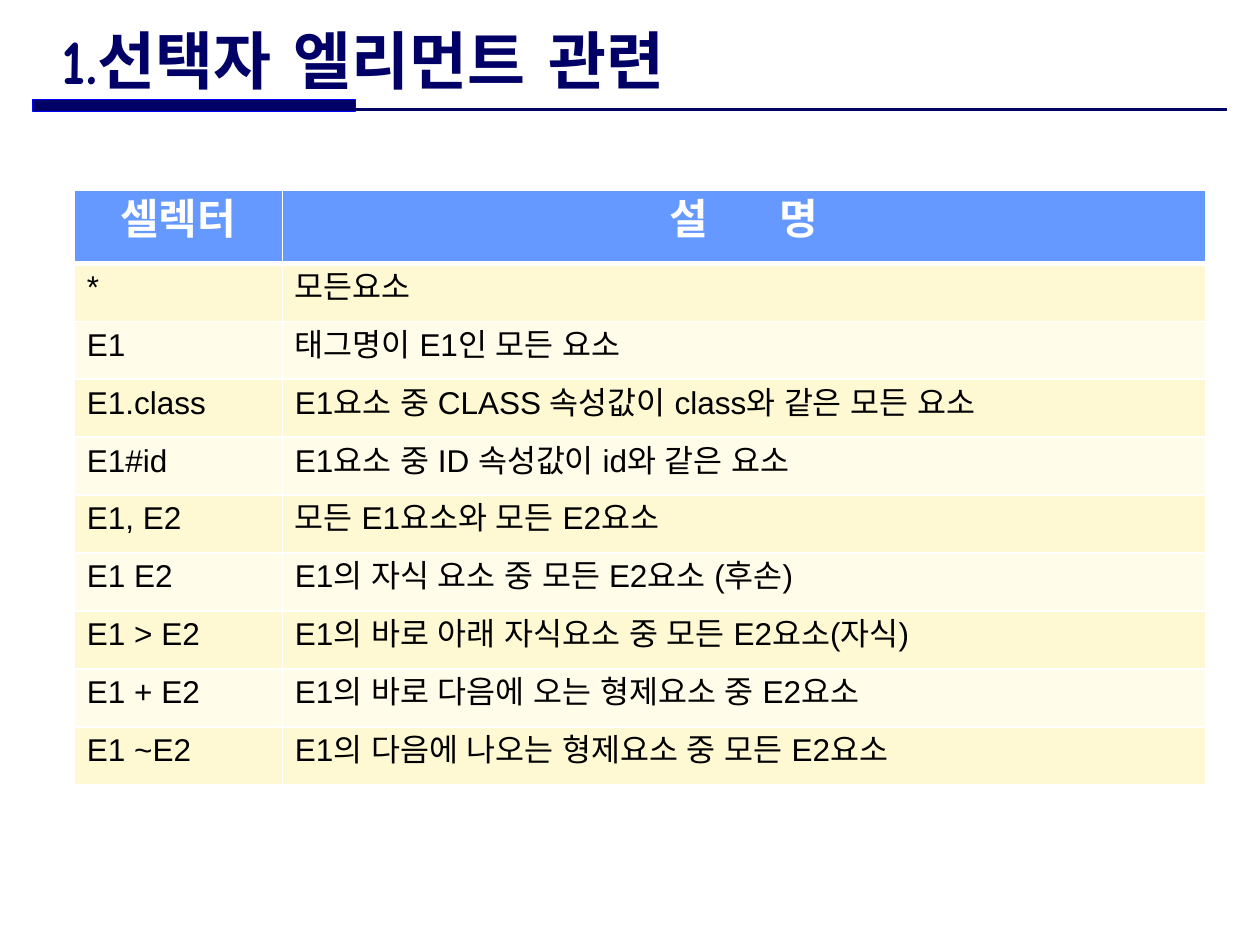
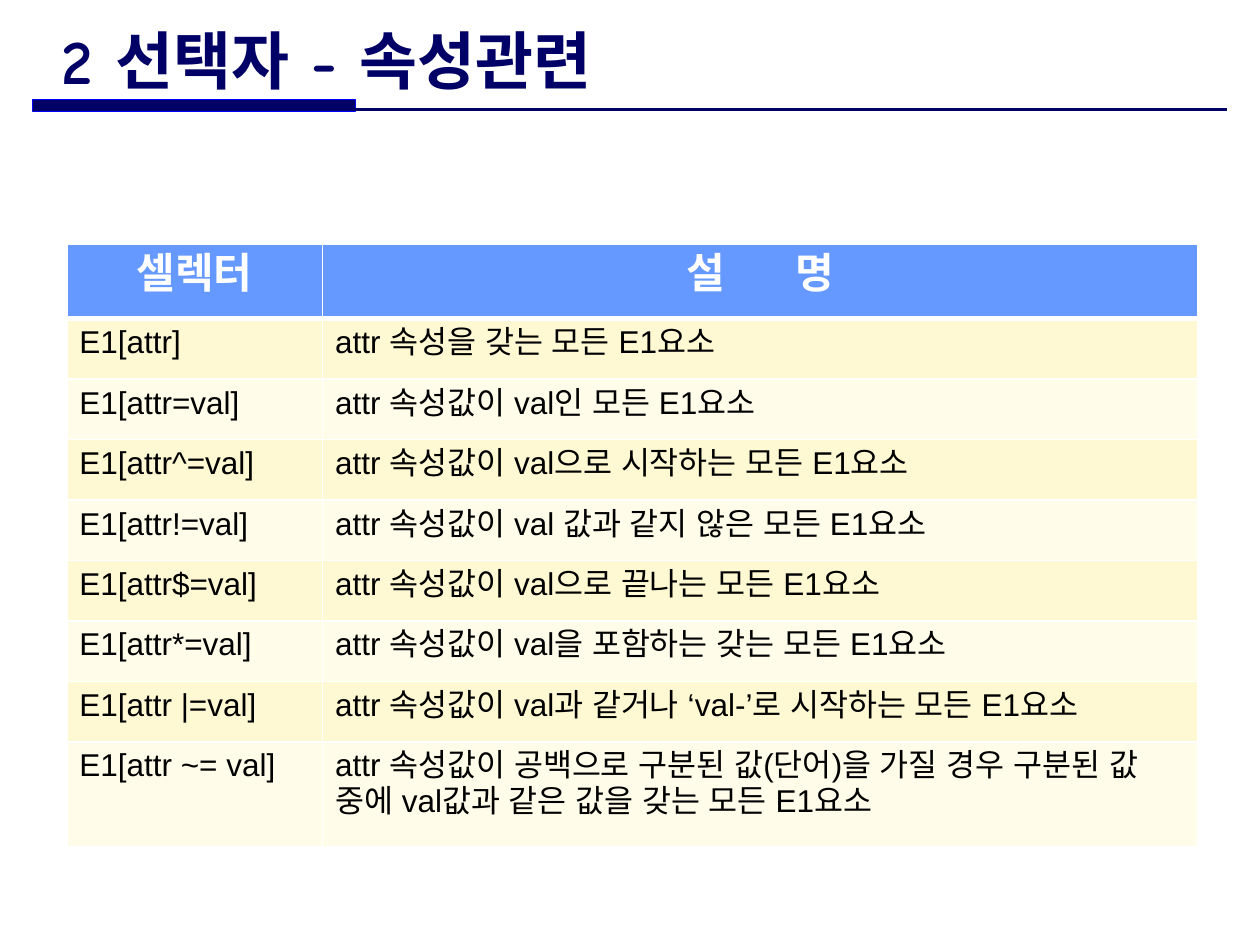
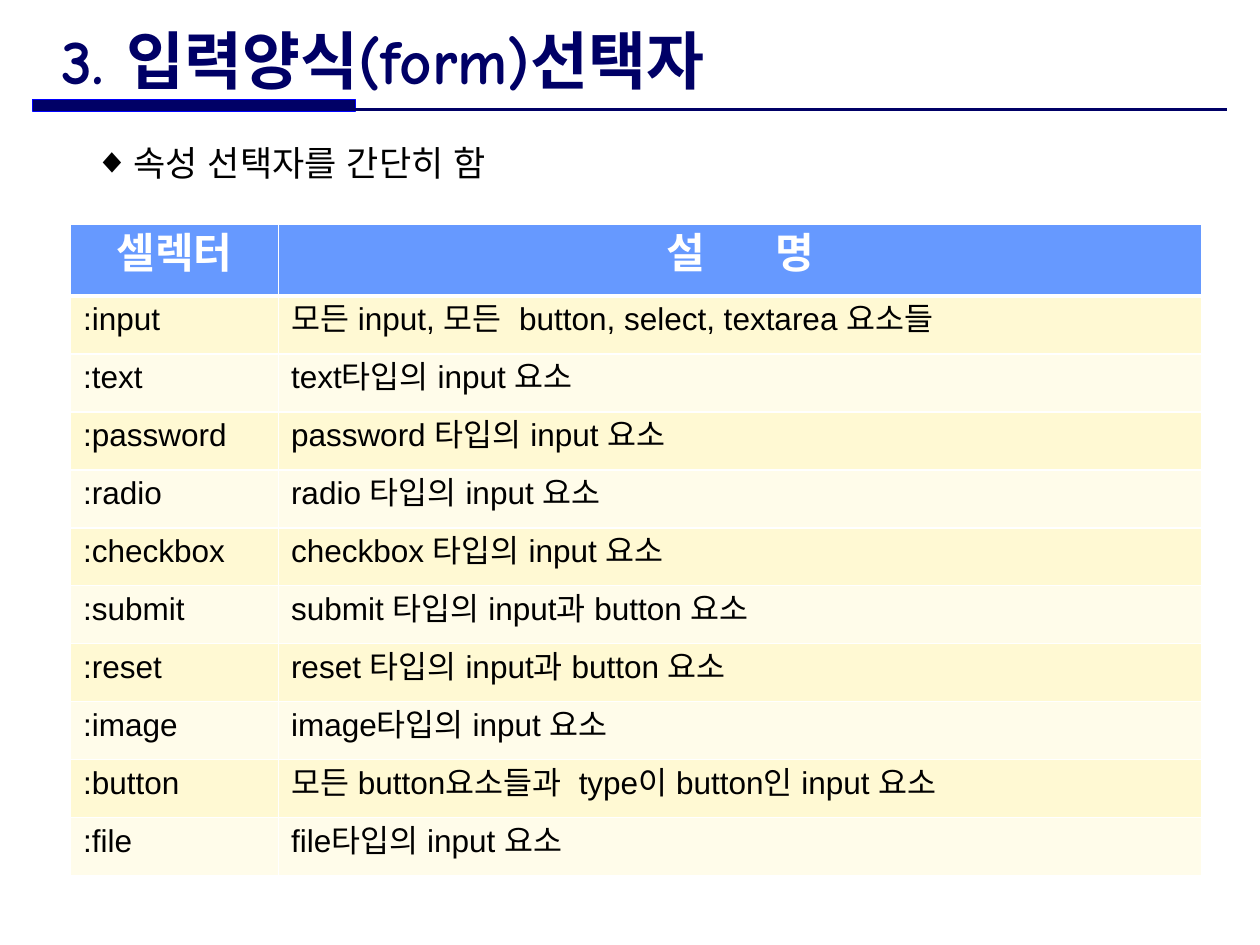
from dataclasses import dataclass

from lxml import etree
from pptx import Presentation
from pptx.dml.color import RGBColor
from pptx.enum.shapes import MSO_CONNECTOR, MSO_SHAPE
from pptx.enum.text import MSO_ANCHOR, PP_ALIGN
from pptx.oxml.ns import qn
from pptx.slide import Slide
from pptx.table import _Cell
from pptx.text.text import _Paragraph, _Run
from pptx.util import Inches, Pt

NAVY = "000066"
BLUE = "0000FF"
HEADER_BLUE = "6699FF"
WHITE = "FFFFFF"
BLACK = "000000"
ROW_FILLS = ("FFF9D3", "FFFCEA")

TITLE_FONT = "Comic Neue"
BODY_FONT = "Arial"
NOTE_FONT = "Noto Sans CJK KR"

# The wide gap in the second heading is letter spacing on its single space.
HEADINGS = (("셀렉터",), ("설", " ", "명"))
HEADING_GAP = Pt(34)


@dataclass(frozen=True)
class SelectorTable:
    left: float
    top: float
    columns: tuple[float, float]
    header_height: float
    row_height: float
    rows: tuple[tuple[str, str], ...]
    last_row_height: float | None = None


@dataclass(frozen=True)
class SelectorSlide:
    title: str
    table: SelectorTable
    note: str = ""


SLIDES = (
    SelectorSlide(
        "1.선택자 엘리먼트 관련",
        SelectorTable(0.59, 1.51, (1.65, 7.33), 0.58, 0.46, (
            ("*", "모든요소"),
            ("E1", "태그명이 E1인 모든 요소"),
            ("E1.class", "E1요소 중 CLASS 속성값이 class와 같은 모든 요소"),
            ("E1#id", "E1요소 중 ID 속성값이 id와 같은 요소"),
            ("E1, E2", "모든 E1요소와 모든 E2요소"),
            ("E1 E2", "E1의 자식 요소 중 모든 E2요소 (후손)"),
            ("E1 > E2", "E1의 바로 아래 자식요소 중 모든 E2요소(자식)"),
            ("E1 + E2", "E1의 바로 다음에 오는 형제요소 중 E2요소"),
            ("E1 ~E2", "E1의 다음에 나오는 형제요소 중 모든 E2요소"),
        )),
    ),
    SelectorSlide(
        "2 선택자 - 속성관련",
        SelectorTable(0.53, 1.94, (2.03, 6.95), 0.59, 0.48, (
            ("E1[attr]", "attr 속성을 갖는 모든 E1요소"),
            ("E1[attr=val]", "attr 속성값이 val인 모든 E1요소"),
            ("E1[attr^=val]", "attr 속성값이 val으로 시작하는 모든 E1요소"),
            ("E1[attr!=val]", "attr 속성값이 val 값과 같지 않은 모든 E1요소"),
            ("E1[attr$=val]", "attr 속성값이 val으로 끝나는 모든 E1요소"),
            ("E1[attr*=val]", "attr 속성값이 val을 포함하는 갖는 모든 E1요소"),
            ("E1[attr |=val]",
             "attr 속성값이 val과 같거나 ‘val-’로 시작하는 모든 E1요소"),
            ("E1[attr ~= val]",
             "attr 속성값이 공백으로 구분된 값(단어)을 가질 경우 구분된 값 "
             "중에 val값과 같은 값을 갖는 모든 E1요소"),
        ), last_row_height=0.83),
    ),
    SelectorSlide(
        "3. 입력양식(form)선택자",
        SelectorTable(0.56, 1.78, (1.65, 7.33), 0.57, 0.46, (
            (":input", "모든 input, 모든  button, select, textarea 요소들"),
            (":text", "text타입의 input 요소"),
            (":password", "password 타입의 input 요소"),
            (":radio", "radio 타입의 input 요소"),
            (":checkbox", "checkbox 타입의 input 요소"),
            (":submit", "submit 타입의 input과 button 요소"),
            (":reset", "reset 타입의 input과 button 요소"),
            (":image", "image타입의 input 요소"),
            (":button", "모든 button요소들과  type이 button인 input 요소"),
            (":file", "file타입의 input 요소"),
        )),
        note="속성 선택자를 간단히 함",
    ),
)


def rgb(color: str) -> RGBColor:
    return RGBColor.from_string(color)


def format_run(run: _Run, font: str, size: float, color: str,
               bold: bool = False, east_asian_font: str = "") -> None:
    """Format the run; Korean text takes the same font unless another is given."""
    run.font.name = font
    run.font.size = Pt(size)
    run.font.bold = bold
    run.font.color.rgb = rgb(color)
    east_asian = etree.Element(qn("a:ea"), typeface=east_asian_font or font)
    run._r.get_or_add_rPr().find(qn("a:latin")).addnext(east_asian)


def add_text_line(slide: Slide, text: str, left: float, top: float,
                  width: float, height: float) -> _Paragraph:
    box = slide.shapes.add_textbox(
        Inches(left), Inches(top), Inches(width), Inches(height))
    box.text_frame.word_wrap = True
    box.text_frame.vertical_anchor = MSO_ANCHOR.MIDDLE
    box.text_frame.text = text
    return box.text_frame.paragraphs[0]


def draw_title(slide: Slide, title: str) -> None:
    band = slide.shapes.add_shape(
        MSO_SHAPE.RECTANGLE, Inches(0.26), Inches(0.79), Inches(2.56), Inches(0.09))
    band.shadow.inherit = False
    band.fill.solid()
    band.fill.fore_color.rgb = rgb(NAVY)
    band.line.color.rgb = rgb(BLUE)
    band.line.width = Pt(0.75)

    rule = slide.shapes.add_connector(
        MSO_CONNECTOR.STRAIGHT, Inches(0.26), Inches(0.87), Inches(9.74), Inches(0.87))
    rule.line.color.rgb = rgb(NAVY)
    rule.line.width = Pt(1.5)
    etree.SubElement(rule._element.spPr, qn("a:effectLst"))

    heading = add_text_line(slide, title, 0.39, 0.21, 6.79, 0.52)
    format_run(heading.runs[0], TITLE_FONT, 36, NAVY, bold=True)


def draw_note(slide: Slide, note: str) -> None:
    remark = add_text_line(slide, note, 0.65, 1.07, 7.92, 0.44)
    format_run(remark.runs[0], NOTE_FONT, 20, BLACK, east_asian_font=BODY_FONT)
    properties = remark._p.get_or_add_pPr()
    properties.set("marL", str(Inches(0.31)))
    properties.set("indent", str(-Inches(0.31)))
    etree.SubElement(properties, qn("a:buFont"), typeface=BODY_FONT)
    etree.SubElement(properties, qn("a:buChar"), char="◆")


def style_cell(cell: _Cell, fill: str, top: float = 1, bottom: float = 1) -> None:
    """Fill the cell and give it white borders of the given widths in points."""
    cell.fill.solid()
    cell.fill.fore_color.rgb = rgb(fill)
    properties = cell._tc.get_or_add_tcPr()
    sides = (("a:lnL", 1), ("a:lnR", 1), ("a:lnT", top), ("a:lnB", bottom))
    for position, (side, width) in enumerate(sides):
        border = etree.Element(qn(side), w=str(Pt(width)))
        solid = etree.SubElement(border, qn("a:solidFill"))
        etree.SubElement(solid, qn("a:srgbClr"), val=WHITE)
        properties.insert(position, border)


def fill_heading(cell: _Cell, pieces: tuple[str, ...]) -> None:
    style_cell(cell, HEADER_BLUE, bottom=3)
    paragraph = cell.text_frame.paragraphs[0]
    paragraph.alignment = PP_ALIGN.CENTER
    for piece in pieces:
        run = paragraph.add_run()
        run.text = piece
        format_run(run, BODY_FONT, 24, WHITE, bold=True)
        if piece == " ":
            run._r.get_or_add_rPr().set("spc", str(int(HEADING_GAP.pt * 100)))


def draw_table(slide: Slide, spec: SelectorTable) -> None:
    heights = [spec.header_height] + [spec.row_height] * len(spec.rows)
    if spec.last_row_height:
        heights[-1] = spec.last_row_height
    table = slide.shapes.add_table(
        len(heights), len(spec.columns), Inches(spec.left), Inches(spec.top),
        Inches(sum(spec.columns)), Inches(sum(heights))).table
    table.horz_banding = False
    for column, width in zip(table.columns, spec.columns):
        column.width = Inches(width)
    for row, height in zip(table.rows, heights):
        row.height = Inches(height)

    for column_index, pieces in enumerate(HEADINGS):
        fill_heading(table.cell(0, column_index), pieces)
    for row_index, entry in enumerate(spec.rows):
        for column_index, text in enumerate(entry):
            cell = table.cell(row_index + 1, column_index)
            style_cell(cell, ROW_FILLS[row_index % 2], top=1 if row_index else 3)
            cell.text_frame.text = text
            format_run(cell.text_frame.paragraphs[0].runs[0], BODY_FONT, 18, BLACK)


def main() -> None:
    presentation = Presentation()
    presentation.slide_width = Inches(10)
    presentation.slide_height = Inches(7.5)
    for content in SLIDES:
        slide = presentation.slides.add_slide(presentation.slide_layouts[6])
        draw_title(slide, content.title)
        draw_table(slide, content.table)
        if content.note:
            draw_note(slide, content.note)
    presentation.save("out.pptx")


if __name__ == "__main__":
    main()
